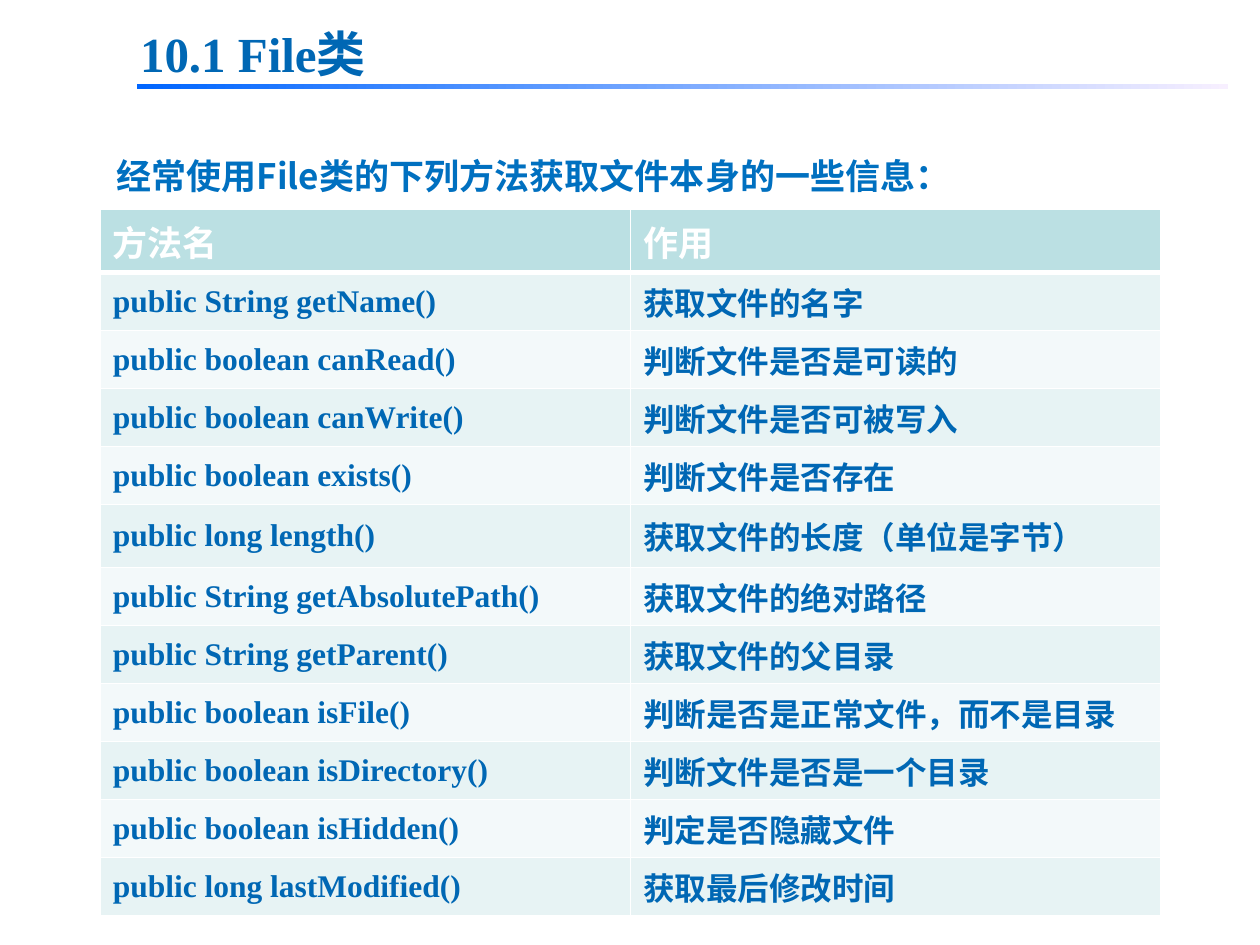
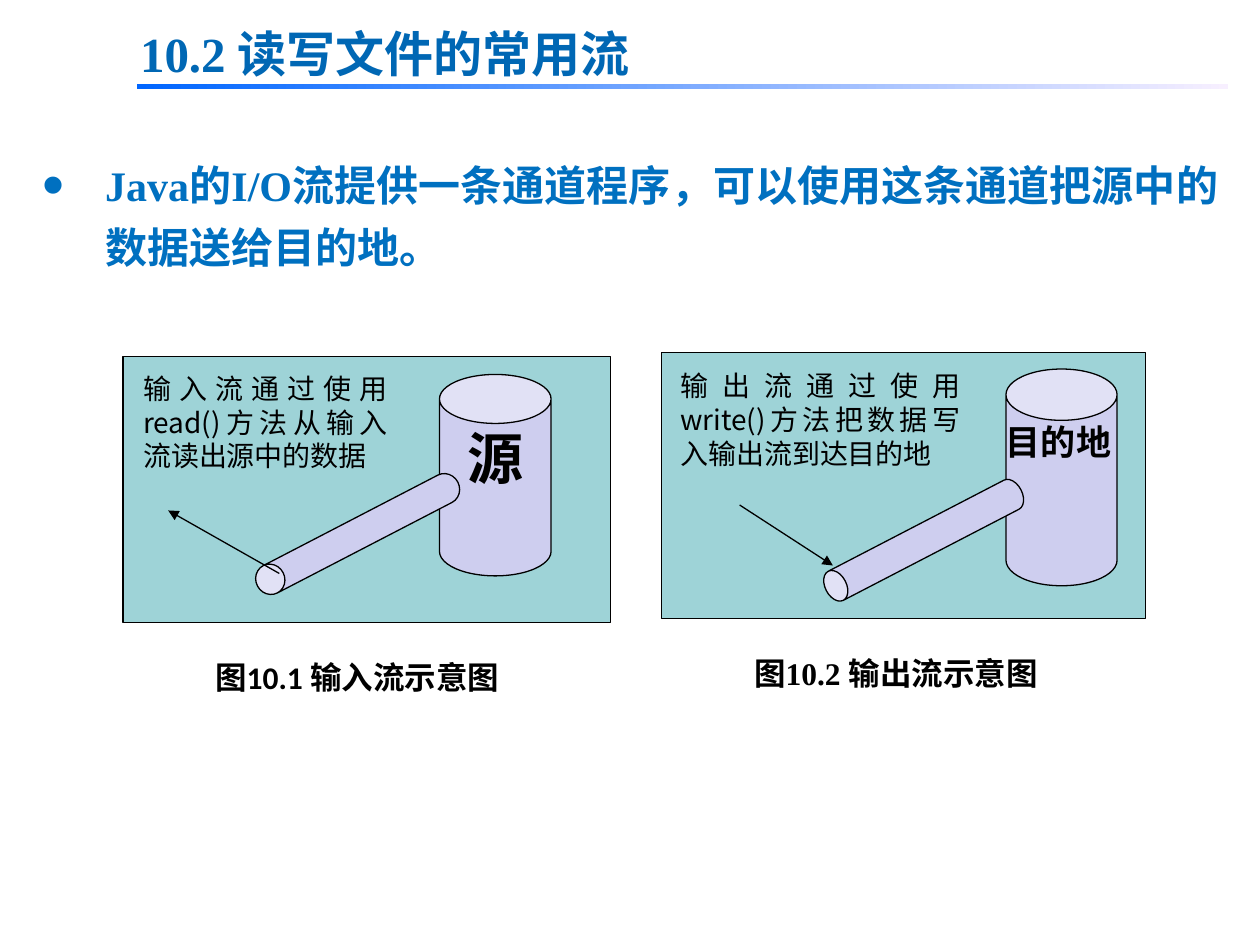
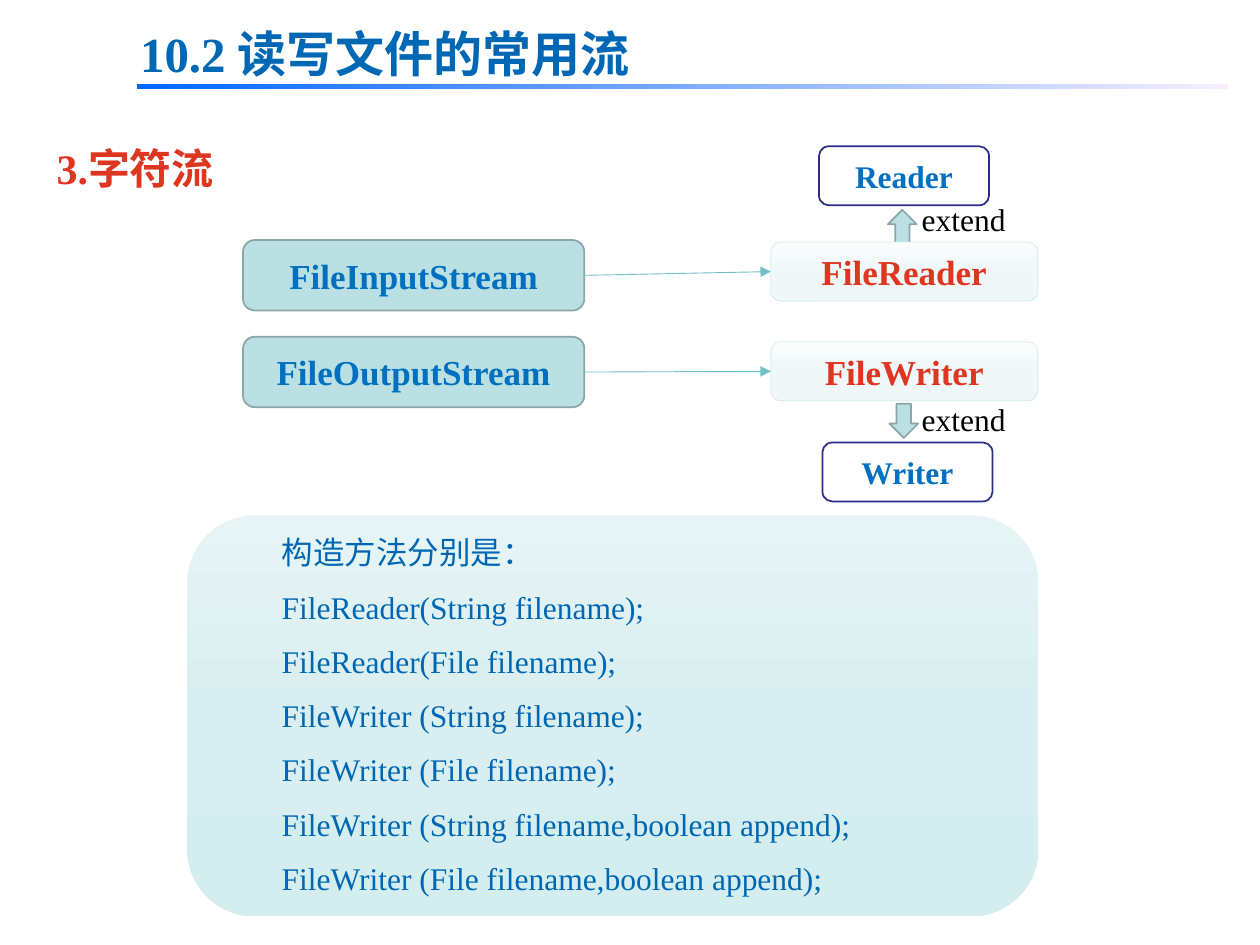
from lxml import etree
from pptx import Presentation
from pptx import util as u
from pptx.dml import color
from pptx.enum import shapes, text
from pptx.oxml import ns

SERIF, SANS, CJK = "Times New Roman", "Calibri", "Noto Sans CJK SC"
TITLE_BLUE, BLUE, RED = "0067B4", "0070C0", "DF3621"
BLACK, WHITE, TEAL = "000000", "FFFFFF", "BBE0E3"
KIND = shapes.MSO_SHAPE
ALIGN = text.PP_ALIGN
ANCHOR = text.MSO_ANCHOR
NO_MARGIN = {f"margin_{side}": 0 for side in ("left", "top", "right", "bottom")}


def rgb(value):
    return color.RGBColor.from_string(value)


def lengths(values):
    return [u.Cm(value) for value in values]


def place(box, left, top, *size):
    return (box[0] + left, box[1] + top, *size)


def apply(target, values):
    for name, value in values.items():
        setattr(target, name, value)


def child(parent, tag, **attributes):
    return etree.SubElement(parent, ns.qn(tag), attributes)


def write(para, words, size, tint, font=SERIF, bold=True, **layout):
    apply(para, layout)
    span = para.add_run()
    span.text = words
    apply(span.font, {"size": u.Pt(size), "name": font, "bold": bold})
    span.font.color.rgb = rgb(tint)
    child(span.font._element, "a:ea", typeface=CJK)
    return para


def add_text(page, box, anchor=ANCHOR.TOP, **frame_values):
    frame = page.shapes.add_textbox(*lengths(box)).text_frame
    apply(frame, {"word_wrap": True, "vertical_anchor": anchor, **frame_values})
    return frame


def paint_gradient(shape, tints, angle):
    shape.fill.gradient()
    shape.fill.gradient_angle = angle
    stops = shape.element.spPr.find(ns.qn("a:gradFill")).find(ns.qn("a:gsLst"))
    stops.clear()
    for index, tint in enumerate(tints):
        stop = child(stops, "a:gs", pos=str(100000 * index // (len(tints) - 1)))
        child(stop, "a:srgbClr", val=tint)


def add_shape(page, kind, box, fill, line=None, width=1, rotation=0, angle=270):
    shape = page.shapes.add_shape(kind, *lengths(box))
    shape.shadow.inherit = False
    shape.rotation = rotation
    if isinstance(fill, str):
        shape.fill.solid()
        shape.fill.fore_color.rgb = rgb(fill)
    else:
        paint_gradient(shape, fill, angle)
    if line:
        shape.line.color.rgb = rgb(line)
        shape.line.width = u.Pt(width)
    else:
        shape.line.fill.background()
    return shape


def label(shape, words, size, tint, font=SERIF, align=ALIGN.CENTER, **frame_values):
    apply(shape.text_frame, {"word_wrap": True, "vertical_anchor": ANCHOR.MIDDLE, **frame_values})
    write(shape.text_frame.paragraphs[0], words, size, tint, font, alignment=align)


def add_arrow(page, start, end, tint, width):
    arrow = page.shapes.add_connector(shapes.MSO_CONNECTOR.STRAIGHT, *lengths(start + end))
    arrow.line.color.rgb = rgb(tint)
    arrow.line.width = u.Pt(width)
    properties = arrow.element.spPr
    child(properties.find(ns.qn("a:ln")), "a:tailEnd", type="triangle")
    child(properties, "a:effectLst")
    return arrow


def add_page(deck, heading):
    page = deck.slides.add_slide(deck.slide_layouts[5])
    title = page.shapes.title
    apply(title, dict(zip(("left", "top", "width", "height"), lengths((2.57, 0.34, 12.93, 1.45)))))
    apply(title.text_frame, {"word_wrap": True, "vertical_anchor": ANCHOR.TOP,
                             "auto_size": text.MSO_AUTO_SIZE.NONE})
    write(title.text_frame.paragraphs[0], heading, 28, TITLE_BLUE, alignment=ALIGN.JUSTIFY)
    add_shape(page, KIND.RECTANGLE, (2.76, 1.7, 22, 0.1), ("0066FF", "F7EFFF"), angle=0)
    return page


def add_lead(page, box, words, size, tint, spacing, font=SERIF, anchor=ANCHOR.TOP):
    frame = add_text(page, box, anchor)
    return write(frame.paragraphs[0], words, size, tint, font,
                 alignment=ALIGN.JUSTIFY, line_spacing=u.Pt(spacing))


def add_bullet(para):
    properties = para._p.get_or_add_pPr()
    properties.set("marL", str(u.Cm(1.27)))
    properties.set("indent", str(-u.Cm(1.27)))
    child(properties, "a:buSzPct", val="150000")
    child(properties, "a:buFont", typeface="Arial")
    child(properties, "a:buChar", char="•")


def add_borders(cell, top, bottom):
    properties = cell._tc.get_or_add_tcPr()
    for tag, width in (("a:lnL", 1), ("a:lnR", 1), ("a:lnT", top), ("a:lnB", bottom)):
        border = child(properties, tag, w=str(u.Pt(width)))
        child(child(border, "a:solidFill"), "a:srgbClr", val=WHITE)


def method_table(page, box, rows, heights):
    table = page.shapes.add_table(len(rows), 2, *lengths(box)).table
    for column in table.columns:
        column.width = u.Cm(box[2] / 2)
    for index, row in enumerate(rows):
        table.rows[index].height = u.Cm(heights.get(index, 1.17))
        header = index == 0
        fill = TEAL if header else ("F3F9FA", "E7F3F4")[index % 2]
        style = (20, WHITE, "Arial") if header else (18, TITLE_BLUE, SERIF)
        for column, words in enumerate(row):
            cell = table.cell(index, column)
            add_borders(cell, 3 if index == 1 else 1, 3 if header else 1)
            cell.fill.solid()
            cell.fill.fore_color.rgb = rgb(fill)
            cell.vertical_anchor = ANCHOR.MIDDLE
            write(cell.text_frame.paragraphs[0], words, *style)


def stream_figure(page, box, tank, tank_label, pipe, note, note_words, arrow, caption):
    outline = {"line": BLACK, "width": 0.75}
    add_shape(page, KIND.RECTANGLE, box, "9ED3D7", **outline)
    tank_box, tank_depth = tank
    pipe_box, pipe_depth = pipe
    tank_shape = add_shape(page, KIND.CAN, place(box, *tank_box), "CECEEF", **outline)
    tank_shape.adjustments[0] = tank_depth
    label(tank_shape, *tank_label, vertical_anchor=ANCHOR.TOP, **NO_MARGIN)
    pipe_shape = add_shape(page, KIND.CAN, place(box, *pipe_box), "CECEEF", rotation=242.6, **outline)
    pipe_shape.adjustments[0] = pipe_depth
    frame = add_text(page, place(box, *note), **NO_MARGIN)
    write(frame.paragraphs[0], note_words, 16, BLACK, CJK, False, alignment=ALIGN.JUSTIFY)
    start, end = arrow
    add_arrow(page, place(box, *start), place(box, *end), BLACK, 0.75)
    caption_shape = add_shape(page, KIND.RECTANGLE, place(box, 1.57, 6.07, 6.3, 0.86), WHITE)
    label(caption_shape, caption[0], 18, BLACK, caption[1], vertical_anchor=ANCHOR.TOP, **NO_MARGIN)


def class_diagram(page, box, rows):
    for row in rows:
        add_shape(page, KIND.DOWN_ARROW, place(box, *row["arrow"], 0.58, 0.69), TEAL, "8AA6A8",
                  rotation=row["turn"])
        stream = add_shape(page, KIND.ROUNDED_RECTANGLE, place(box, 0, row["stream_top"], 6.88, 1.42),
                           TEAL, "8AA6A8")
        label(stream, row["stream"], 20, BLUE)
        reader = add_shape(page, KIND.ROUNDED_RECTANGLE, place(box, 10.64, row["child_top"], 5.38, 1.19),
                           ("FBFDFD", "EFF7F8", "EDF7F7"), "D9EDEE", 0.5)
        label(reader, row["child"], 20, RED)
        parent = add_shape(page, KIND.ROUNDED_RECTANGLE, place(box, *row["parent_at"], 3.43, 1.19),
                           WHITE, "2D2D89")
        label(parent, row["parent"], 18, BLUE)
        link = add_arrow(page, (0, 0), (1, 1), "72BFC5", 0.5)
        link.begin_connect(stream, 3)
        link.end_connect(reader, 1)
        frame = add_text(page, place(box, 13.43, row["extend_top"], 2.39, 1.02))
        write(frame.paragraphs[0], "extend", 18, BLACK, bold=False)


def constructor_panel(page, box, lines):
    add_shape(page, KIND.ROUNDED_RECTANGLE, box, ("E6F4F5", "D9EEF0", "D4EDEF"))
    frame = add_text(page, place(box, 0.91, 0.2, 14, 7.65), ANCHOR.MIDDLE)
    for index, words in enumerate(lines):
        para = frame.add_paragraph() if index else frame.paragraphs[0]
        para._p.get_or_add_pPr().set("indent", str(u.Cm(0.74)))
        spacing = {"line_spacing": u.Pt(31)} if index else {}
        write(para, words, 18, TITLE_BLUE, bold=False, **spacing)


def methods_page(deck):
    page = add_page(deck, "10.1 File类")
    add_lead(page, (2.1, 2.53, 24.41, 1.5), "经常使用File类的下列方法获取文件本身的一些信息：",
             20, BLUE, 37, CJK)
    rows = [
        ("方法名", "作用"),
        ("public String getName()", "获取文件的名字"),
        ("public boolean canRead()", "判断文件是否是可读的"),
        ("public boolean canWrite()", "判断文件是否可被写入"),
        ("public boolean exists()", "判断文件是否存在"),
        ("public long length()", "获取文件的长度（单位是字节）"),
        ("public String getAbsolutePath()", "获取文件的绝对路径"),
        ("public String getParent()", "获取文件的父目录"),
        ("public boolean isFile()", "判断是否是正常文件，而不是目录"),
        ("public boolean isDirectory()", "判断文件是否是一个目录"),
        ("public boolean isHidden()", "判定是否隐藏文件"),
        ("public long lastModified()", "获取最后修改时间"),
    ]
    method_table(page, (2.02, 4.22, 21.38, 14.24), rows, {0: 1.27, 5: 1.27})


def streams_page(deck):
    page = add_page(deck, "10.2 读写文件的常用流")
    lead = add_lead(page, (0.6, 2.86, 24.21, 2.74),
                    "Java的I/O流提供一条通道程序，可以使用这条通道把源中的数据送给目的地。",
                    24, BLUE, 35, anchor=ANCHOR.BOTTOM)
    add_bullet(lead)
    stream_figure(
        page, (2.48, 7.19, 9.83, 5.36),
        tank=((6.38, 0.36, 2.25, 4.06), 0.439), tank_label=("源", 32, BLACK, SANS),
        pipe=((4.42, 1.3, 0.62, 4.55), 0.94),
        note=(0.41, 0.3, 4.93, 2.54), note_words="输入流通过使用read()方法从输入流读出源中的数据",
        arrow=((3.15, 4.37), (0.91, 3.1)), caption=("图10.1 输入流示意图", SANS))
    stream_figure(
        page, (13.34, 7.11, 9.75, 5.36),
        tank=((6.94, 0.33, 2.24, 4.37), 0.462), tank_label=("目的地", 20, BLACK, SANS, ALIGN.JUSTIFY),
        pipe=((4.95, 1.57, 0.66, 4.42), 0.649),
        note=(0.38, 0.33, 5.64, 2.31), note_words="输出流通过使用write()方法把数据写入输出流到达目的地",
        arrow=((1.57, 3.07), (3.45, 4.29)), caption=("图10.2 输出流示意图", SERIF))


def characters_page(deck):
    page = add_page(deck, "10.2 读写文件的常用流")
    constructor_panel(page, (3.78, 10.39, 17.15, 8.08), [
        "构造方法分别是：",
        "FileReader(String filename);",
        "FileReader(File filename);",
        "FileWriter (String filename);",
        "FileWriter (File filename);",
        "FileWriter (String filename,boolean append);",
        "FileWriter (File filename,boolean append);",
    ])
    add_lead(page, (0.89, 2.53, 24.41, 1.52), "3.字符流", 24, RED, 35)
    class_diagram(page, (4.9, 2.95), [
        {"stream": "FileInputStream", "stream_top": 1.89, "child": "FileReader", "child_top": 1.93,
         "parent": "Reader", "parent_at": (11.61, 0), "arrow": (13, 1.28), "turn": 180,
         "extend_top": 0.95},
        {"stream": "FileOutputStream", "stream_top": 3.84, "child": "FileWriter", "child_top": 3.94,
         "parent": "Writer", "parent_at": (11.68, 5.97), "arrow": (13.03, 5.19), "turn": 0,
         "extend_top": 4.98},
    ])


def main():
    deck = Presentation()
    deck.slide_width, deck.slide_height = lengths((25.4, 19.05))
    methods_page(deck)
    streams_page(deck)
    characters_page(deck)
    deck.save("out.pptx")


if __name__ == "__main__":
    main()
